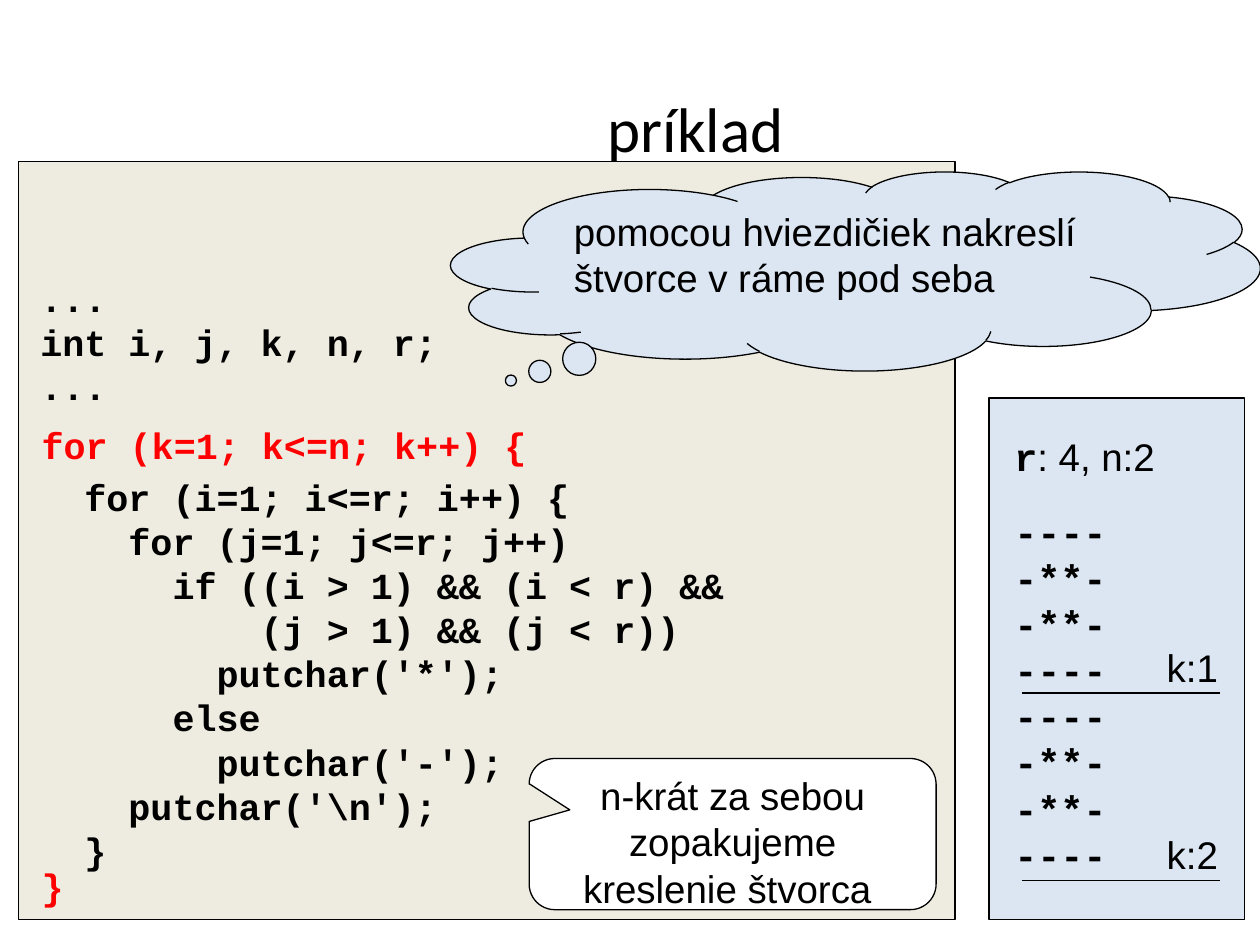
from lxml import etree
from pptx import Presentation
from pptx.dml.color import RGBColor
from pptx.enum import shapes, text
from pptx.oxml.ns import qn
from pptx.util import Inches, Pt

MONO, SANS = "Courier New", "Arial"
BLACK, RED, WHITE = "000000", "FF0000", "FFFFFF"
BEIGE, BLUE = "EEECE1", "DCE6F2"

DECLARATIONS = ["...", "int i, j, k, n, r;", "..."]
LOOPS = [
    "  for (i=1; i<=r; i++) {",
    "    for (j=1; j<=r; j++)",
    "      if ((i > 1) && (i < r) &&",
    "          (j > 1) && (j < r))",
    "        putchar('*');",
    "      else",
    "        putchar('-');",
    "    putchar('\\n');",
    "  }",
]
SQUARE = ["----", "-**-", "-**-", "----"]


def rgb(color):
    """Turn a hex string into a colour."""
    return RGBColor.from_string(color)


def style_run(r, size, font, color=BLACK, bold=False):
    """Format one run."""
    r.font.size, r.font.name, r.font.bold = Pt(size), font, bold
    r.font.color.rgb = rgb(color)


def write(tf, lines, size, font, color=BLACK, bold=False, align=text.PP_ALIGN.LEFT):
    """Fill a text frame with one paragraph per line."""
    tf.word_wrap = True
    tf.margin_left = tf.margin_right = Inches(0.09)
    tf.margin_top = tf.margin_bottom = Inches(0.05)
    tf.vertical_anchor = text.MSO_ANCHOR.TOP
    tf.text = "\n".join(lines)
    for p in tf.paragraphs:
        p.alignment, p.line_spacing = align, Pt(size * 1.2)
        for r in p.runs:
            style_run(r, size, font, color, bold)


def add_text(slide, box, lines, size, font, **style):
    """Add a text box and return its text frame."""
    tf = slide.shapes.add_textbox(*map(Inches, box)).text_frame
    write(tf, lines, size, font, **style)
    return tf


def add_panel(slide, kind, box, fill, adjustments=()):
    """Add a filled shape with a thin black outline."""
    sp = slide.shapes.add_shape(kind, *map(Inches, box))
    sp.shadow.inherit = False
    sp.fill.solid()
    sp.fill.fore_color.rgb = rgb(fill)
    sp.line.color.rgb = rgb(BLACK)
    sp.line.width = Pt(0.75)
    for i, value in enumerate(adjustments):
        sp.adjustments[i] = value
    return sp


def add_title(slide, box):
    """Place the slide title."""
    tf = add_text(slide, box, ["príklad"], 36, "Calibri", align=text.PP_ALIGN.CENTER)
    tf.vertical_anchor = text.MSO_ANCHOR.MIDDLE


def add_code(slide, box):
    """Place the code panel with its inner loops."""
    x, y, w, h = box
    add_panel(slide, shapes.MSO_SHAPE.RECTANGLE, box, BEIGE)
    tf = add_text(slide, (x + 0.08, y + 0.86, w - 0.06, 4.82), DECLARATIONS + LOOPS,
                  21, MONO, bold=True)
    tf.paragraphs[len(DECLARATIONS)].space_before = Pt(38)


def add_outer_loop(slide, box):
    """Place the red loop that encloses the inner code."""
    tf = add_text(slide, box, ["for (k=1; k<=n; k++) {", "}"], 21, MONO,
                  color=RED, bold=True)
    tf.paragraphs[1].space_before = Pt(9 * 21 * 1.2)


def add_callout(slide, kind, box, fill, message, adjustments, align):
    """Place a callout with its message."""
    sp = add_panel(slide, kind, box, fill, adjustments)
    write(sp.text_frame, [message], 22, SANS, align=align)


def add_step(slide, box, label):
    """Place a step label above its closing rule."""
    x, y, w, h = box
    add_text(slide, (x + w - 0.51, y, 0.7, h), [label], 22, SANS)
    line = slide.shapes.add_connector(
        shapes.MSO_CONNECTOR.STRAIGHT,
        *map(Inches, (x, y + h - 0.02, x + w, y + h - 0.02)))
    line.line.color.rgb = rgb(BLACK)
    line.line.width = Pt(0.75)
    etree.SubElement(line._element.spPr, qn("a:effectLst"))


def add_output(slide, box):
    """Place the output panel with two squares and their steps."""
    x, y, w, h = box
    add_panel(slide, shapes.MSO_SHAPE.RECTANGLE, box, BLUE)
    tf = add_text(slide, (x + 0.11, y + 0.23, 1.6, 3.61), ["r"] + SQUARE * 2,
                  22, MONO, bold=True)
    r = tf.paragraphs[0].add_run()
    r.text = ": 4, n:2"
    style_run(r, 22, SANS)
    tf.paragraphs[1].space_before = Pt(16)
    for i, label in enumerate(["k:1", "k:2"]):
        add_step(slide, (x + 0.26, y + 1.9 + i * 1.49, 1.57, 0.46), label)


def main():
    """Build the slide and save it."""
    prs = Presentation()
    prs.slide_width, prs.slide_height = Inches(10), Inches(7.5)
    slide = prs.slides.add_slide(prs.slide_layouts[6])
    add_title(slide, (1.26, 0.68, 8.52, 0.66))
    add_code(slide, (0.15, 1.28, 7.43, 6.02))
    add_callout(slide, shapes.MSO_SHAPE.CLOUD_CALLOUT, (3.58, 1.36, 6.42, 1.58),
                BLUE, "pomocou hviezdičiek nakreslí štvorce v ráme pod seba",
                (-0.426, 0.551), text.PP_ALIGN.LEFT)
    add_output(slide, (7.85, 3.16, 2.03, 4.14))
    add_callout(slide, shapes.MSO_SHAPE.ROUNDED_RECTANGULAR_CALLOUT,
                (4.2, 6.02, 3.23, 1.2), WHITE,
                "n-krát za sebou zopakujeme kreslenie štvorca ",
                (-0.4, -0.16, 0.17), text.PP_ALIGN.CENTER)
    add_outer_loop(slide, (0.24, 3.31, 5.23, 3.94))
    prs.save("out.pptx")


if __name__ == "__main__":
    main()
